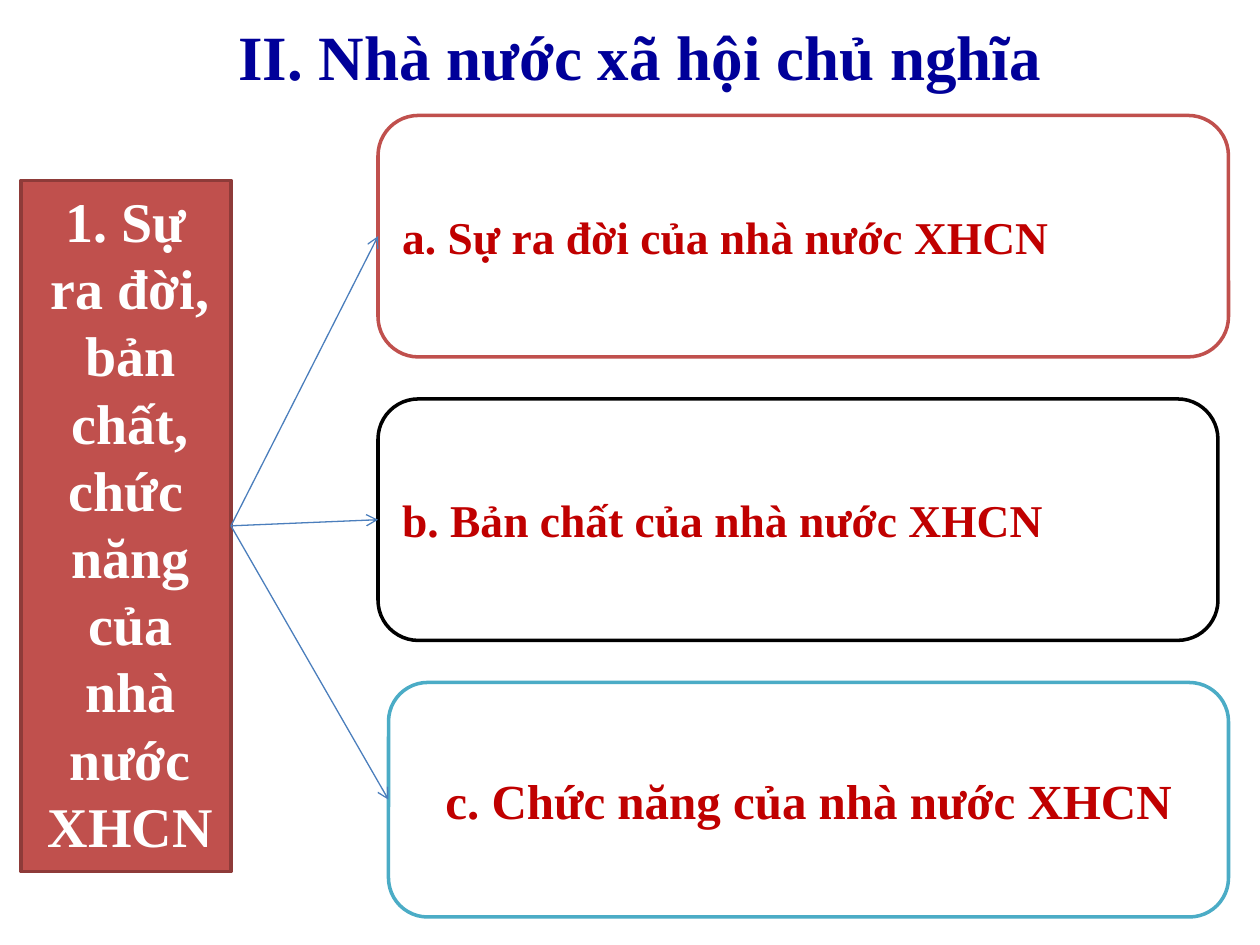
from pptx import Presentation
from pptx.dml.color import RGBColor
from pptx.enum import shapes, text
from pptx.oxml.ns import qn
from pptx.util import Pt
from lxml import etree

COLORS = {
    "white": "FFFFFF", "black": "000000", "navy": "000099", "red": "C00000",
    "brick": "C0504D", "brick_edge": "8E3B39", "teal": "4BACC6", "arrow": "4B7EBC",
}
ALIGN = text.PP_ALIGN


def color(name):
    return RGBColor.from_string(COLORS[name])


def write(para, words, size, ink, align):
    para.text = words
    para.alignment = align
    para.font.name = "Times New Roman"
    para.font.size = Pt(size)
    para.font.bold = True
    para.font.color.rgb = color(ink)


deck = Presentation()
deck.slide_width, deck.slide_height = Pt(720), Pt(540)
page = deck.slides.add_slide(deck.slide_layouts[6])

# Topic panel on the left
topic = page.shapes.add_shape(shapes.MSO_SHAPE.RECTANGLE, Pt(12), Pt(103), Pt(120), Pt(395))
topic.shadow.inherit = False
topic.fill.solid()
topic.fill.fore_color.rgb = color("brick")
topic.line.color.rgb = color("brick_edge")
topic.line.width = Pt(2)
frame = topic.text_frame
frame.word_wrap = True
frame.vertical_anchor = text.MSO_ANCHOR.TOP
frame.add_paragraph()
topic_lines = ["1. Sự ra đời, bản chất,", "chức năng của nhà nước XHCN"]
for para, words in zip(frame.paragraphs, topic_lines):
    write(para, words, 32, "white", ALIGN.CENTER)
    properties = para._p.get_or_add_pPr()
    properties.set("marL", str(Pt(5)))
    properties.set("indent", str(Pt(-5)))

# Section boxes, each reached by an arrow from the topic
sections = [
    ("a. Sự ra đời của nhà nước XHCN", 216, 66, 486, 138, "brick", 26, ALIGN.JUSTIFY),
    ("b. Bản chất của nhà nước XHCN", 216, 228, 480, 138, "black", 26, ALIGN.JUSTIFY),
    ("c. Chức năng của nhà nước XHCN", 222, 390, 480, 134, "teal", 28, ALIGN.CENTER),
]
for words, left, top, width, height, edge, size, align in sections:
    box = page.shapes.add_shape(
        shapes.MSO_SHAPE.ROUNDED_RECTANGLE, Pt(left), Pt(top), Pt(width), Pt(height))
    box.shadow.inherit = False
    box.fill.solid()
    box.fill.fore_color.rgb = color("white")
    box.line.color.rgb = color(edge)
    box.line.width = Pt(2)
    box.text_frame.word_wrap = True
    box.text_frame.vertical_anchor = text.MSO_ANCHOR.MIDDLE
    write(box.text_frame.paragraphs[0], words, size, "red", align)

    arrow = page.shapes.add_connector(
        shapes.MSO_CONNECTOR.STRAIGHT, Pt(132), Pt(300.5), Pt(left), Pt(top + height / 2))
    arrow.line.color.rgb = color("arrow")
    arrow.line.width = Pt(0.75)
    etree.SubElement(arrow.line._get_or_add_ln(), qn("a:tailEnd"), type="arrow")
    etree.SubElement(arrow._element.spPr, qn("a:effectLst"))

# Title
title = page.shapes.add_textbox(Pt(102), Pt(6.5), Pt(540), Pt(51))
title.text_frame.word_wrap = True
title.text_frame.margin_left = Pt(34.2)
write(title.text_frame.paragraphs[0], "II. Nhà nước xã hội chủ nghĩa", 36, "navy", ALIGN.LEFT)

deck.save("out.pptx")
